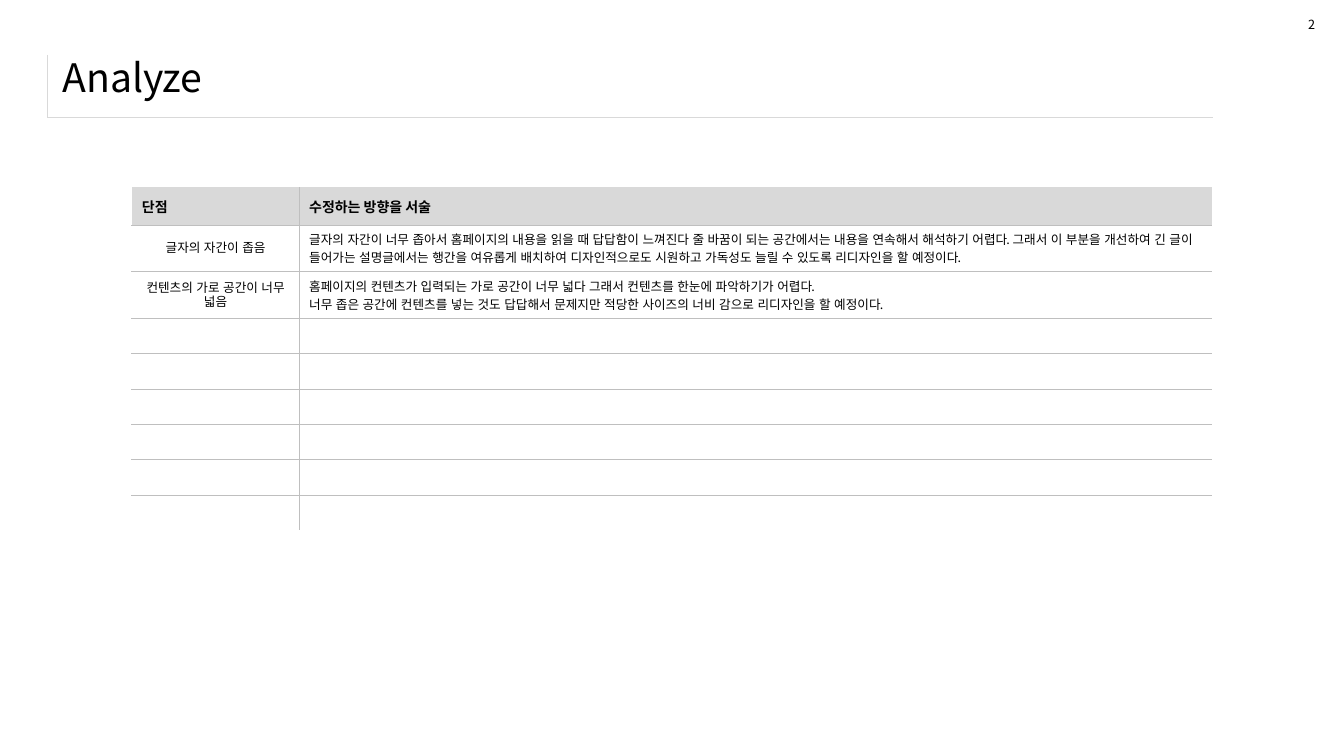
"""Build the "Analyze" slide with its table of weaknesses and planned fixes."""
from dataclasses import dataclass

from lxml.etree import SubElement
from pptx import Presentation
from pptx.dml.color import RGBColor
from pptx.enum.text import MSO_ANCHOR, PP_ALIGN
from pptx.oxml.ns import qn
from pptx.util import Pt

KR, LATIN = "Noto Sans CJK KR", "Arial"
BLACK, WHITE, LIGHT, GRID = "000000", "FFFFFF", "D9D9D9", "BFBFBF"
NO_STYLE = "{2D5ABB26-0587-4C30-8999-92F81FD0307C}"
COLUMNS = (119.5, 652)
HEADER_HEIGHT, ROW_HEIGHT = 26.9, 25.25
EMPTY_ROWS = 6


@dataclass
class Row:
    weakness: str = ""
    fix: str = ""
    header: bool = False


@dataclass
class Box:
    x: float
    y: float
    w: float
    h: float


ROWS = [
    Row("단점", "수정하는 방향을 서술", True),
    Row("글자의 자간이 좁음",
        "글자의 자간이 너무 좁아서 홈페이지의 내용을 읽을 때 답답함이 느껴진다 줄 바꿈이 되는 공간에서는 "
        "내용을 연속해서 해석하기 어렵다. 그래서 이 부분을 개선하여 긴 글이 들어가는 설명글에서는 행간을 "
        "여유롭게 배치하여 디자인적으로도 시원하고 가독성도 늘릴 수 있도록 리디자인을 할 예정이다."),
    Row("컨텐츠의 가로 공간이 너무 넓음",
        "홈페이지의 컨텐츠가 입력되는 가로 공간이 너무 넓다 그래서 컨텐츠를 한눈에 파악하기가 어렵다.\n"
        "너무 좁은 공간에 컨텐츠를 넣는 것도 답답해서 문제지만 적당한 사이즈의 너비 감으로 리디자인을 할 예정이다."),
] + [Row()] * EMPTY_ROWS


def rgb(color: str) -> RGBColor:
    return RGBColor.from_string(color)


def style_text(tf, size: float, font: str = KR, asian: str = KR, bold: bool = False,
               align=PP_ALIGN.LEFT) -> None:
    for p in tf.paragraphs:
        p.alignment = align
        for r in p.runs:
            r.font.size, r.font.bold, r.font.name = Pt(size), bold, font
            r.font.color.rgb = rgb(BLACK)
            SubElement(r.font._element, qn("a:ea"), typeface=asian)
        if not p.runs:
            end = SubElement(p._p, qn("a:endParaRPr"), sz=str(int(size * 100)))
            SubElement(end, qn("a:latin"), typeface=font)


def set_border(cell, side: str, color: str, width: float) -> None:
    ln = SubElement(cell._tc.get_or_add_tcPr(), qn(f"a:{side}"), w=str(Pt(width)))
    fill = SubElement(ln, qn("a:solidFill"))
    SubElement(fill, qn("a:srgbClr"), val=color)


def add_plain_table(slide, rows: int, columns: int, box: Box):
    frame = slide.shapes.add_table(rows, columns, Pt(box.x), Pt(box.y), Pt(box.w), Pt(box.h))
    frame.table.first_row = frame.table.horz_banding = False
    frame.table._tbl.tblPr.find(qn("a:tableStyleId")).text = NO_STYLE
    return frame


def add_title_frame(slide, box: Box) -> None:
    cell = add_plain_table(slide, 1, 1, box).table.cell(0, 0)
    for side in ("lnL", "lnB"):
        set_border(cell, side, LIGHT, 0.25)
    cell.fill.background()
    style_text(cell.text_frame, 25.5)


def format_cell(cell, row: Row, first_column: bool, first: bool, last: bool) -> None:
    set_border(cell, "lnL", *((WHITE, 1) if first_column else (GRID, 0.25)))
    if first_column:
        set_border(cell, "lnR", GRID, 0.25)
    if not first:
        set_border(cell, "lnT", GRID, 0.25)
    set_border(cell, "lnB", *((WHITE, 1) if last else (GRID, 0.25)))
    cell.vertical_anchor = MSO_ANCHOR.MIDDLE
    if row.header:
        cell.fill.solid()
        cell.fill.fore_color.rgb = rgb(LIGHT)
        style_text(cell.text_frame, 10, bold=True)
    else:
        cell.fill.background()
        style_text(cell.text_frame, 9, LATIN if first_column else KR, LATIN,
                   align=PP_ALIGN.CENTER if first_column else PP_ALIGN.LEFT)


def add_analysis_table(slide, rows: list[Row], box: Box) -> None:
    frame = add_plain_table(slide, len(rows), len(COLUMNS), box)
    table = frame.table
    for column, width in zip(table.columns, COLUMNS):
        column.width = Pt(width)
    for i, row in enumerate(rows):
        table.rows[i].height = Pt(HEADER_HEIGHT if row.header else ROW_HEIGHT)
        for j, text in enumerate((row.weakness, row.fix)):
            cell = table.cell(i, j)
            cell.text_frame.text = text
            format_cell(cell, row, j == 0, i == 0, i == len(rows) - 1)
    frame.height = Pt(box.h)


def add_title(slide, text: str) -> None:
    sp = slide.shapes.title
    sp.left, sp.top, sp.width, sp.height = Pt(37.5), Pt(32.25), Pt(899.5), Pt(45.5)
    tf = sp.text_frame
    tf.text = text
    tf.vertical_anchor = MSO_ANCHOR.MIDDLE
    style_text(tf, 28)


def add_page_number(slide, text: str) -> None:
    tf = slide.shapes.add_textbox(Pt(927.25), Pt(8.5), Pt(19.5), Pt(18)).text_frame
    tf.text = text
    style_text(tf, 9)


def main() -> None:
    prs = Presentation()
    prs.slide_width, prs.slide_height = Pt(960), Pt(540)
    slide = prs.slides.add_slide(prs.slide_layouts[5])
    add_title_frame(slide, Box(33.8, 39.2, 832.4, 38.2))
    add_title(slide, "Analyze")
    add_analysis_table(slide, ROWS, Box(94.2, 133.75, sum(COLUMNS), 236.2))
    add_page_number(slide, "2")
    prs.save("out.pptx")


if __name__ == "__main__":
    main()
